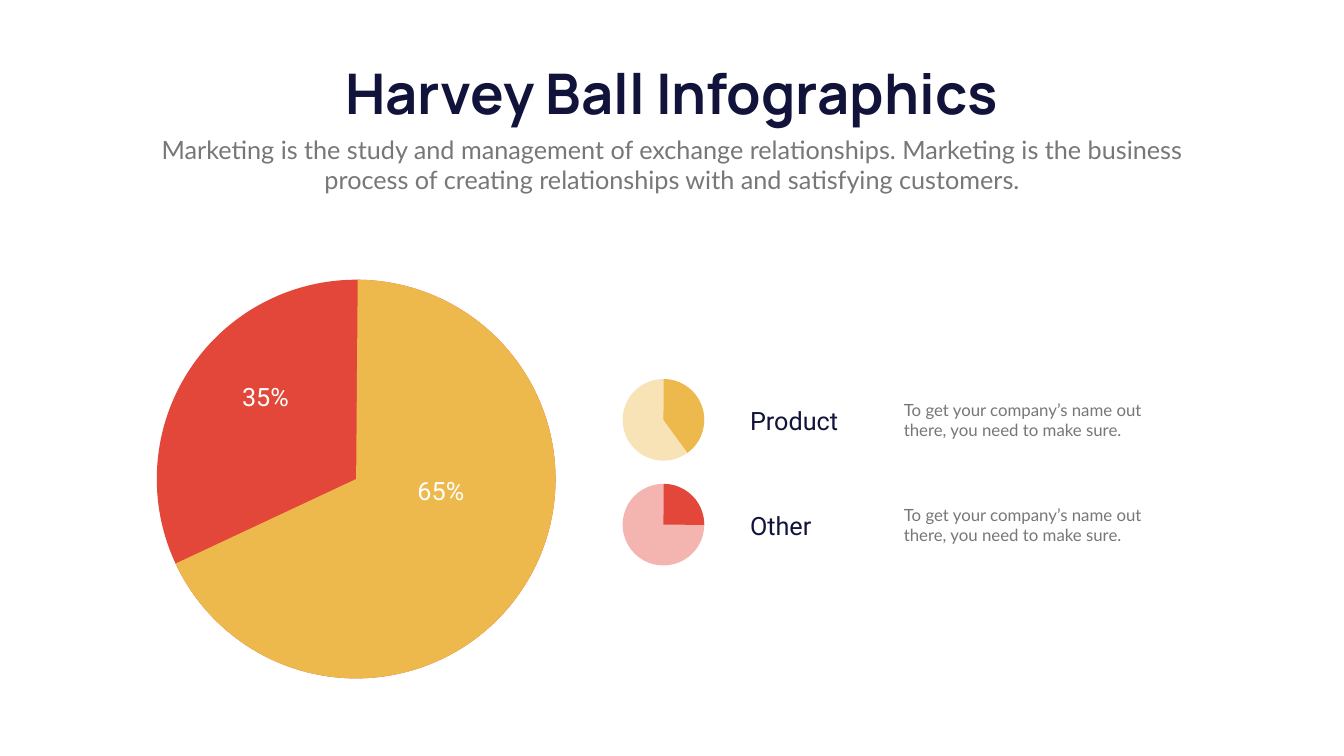
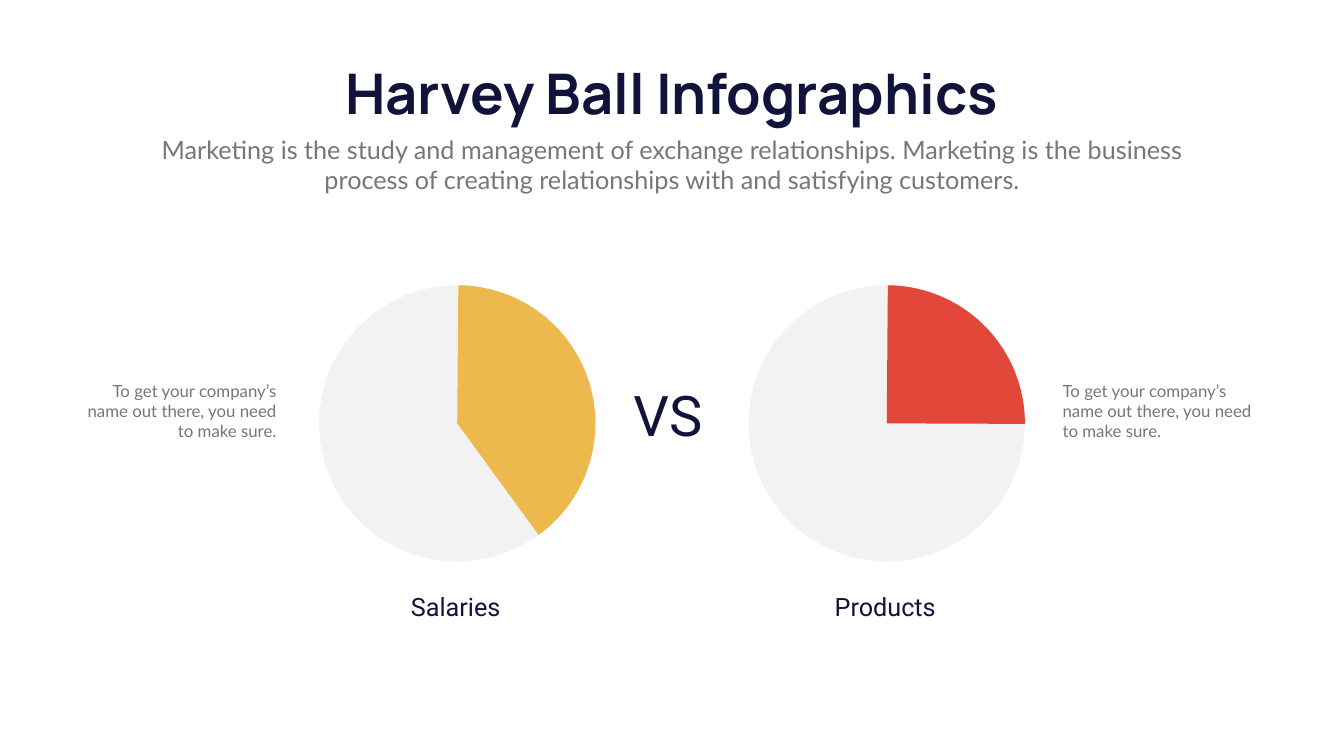
from pptx import Presentation
from pptx.dml.color import RGBColor
from pptx.enum.shapes import MSO_SHAPE
from pptx.enum.text import MSO_ANCHOR, MSO_AUTO_SIZE, PP_ALIGN
from pptx.util import Inches, Pt

# Shared content
TITLE = "Harvey Ball Infographics"
SUBTITLE = ("Marketing is the study and management of exchange relationships. "
            "Marketing is the business process of creating relationships with "
            "and satisfying customers.")
NOTE = "To get your company’s name out there, you need to make sure."

# Shared look
NAVY, GREY, WHITE = "11133A", "777678", "FFFFFF"
YELLOW, RED = "EEB94C", "E34739"
PALE_YELLOW, PALE_RED, PALE_GREY = "F8E3B7", "F4B5B0", "F2F2F2"
STYLES = {
    "title": {"name": "Manrope", "size": Pt(80), "bold": True, "color": NAVY},
    "subtitle": {"name": "Lato", "size": Pt(36), "color": GREY},
    "note": {"name": "Lato", "size": Pt(24), "color": GREY},
    "label": {"name": "Roboto", "size": Pt(36), "color": NAVY},
    "percent": {"name": "Roboto", "size": Pt(36), "color": WHITE},
    "versus": {"name": "Roboto", "size": Pt(80), "color": NAVY},
}
LEFT, CENTER, RIGHT = PP_ALIGN.LEFT, PP_ALIGN.CENTER, PP_ALIGN.RIGHT

# Pie angles in degrees, clockwise from three o'clock
START_ANGLE = 270.45
SHARE_END, PRODUCT_END, OTHER_END = 154.9, 53.89, 0.23

# Share slide: percentages (text, left, top) and legend rows
PERCENTS = [("65%", 8, 9.39), ("35%", 4.52, 7.52)]
LEGEND = [("Product", PALE_YELLOW, YELLOW, PRODUCT_END),
          ("Other", PALE_RED, RED, OTHER_END)]
LEGEND_TOP, LEGEND_STEP = 7.52, 2.08

# Comparison slide: label, ball left, colour, end angle, note left, note alignment
RIVALS = [("Salaries", 6.33, YELLOW, PRODUCT_END, 1.55, RIGHT),
          ("Products", 14.85, RED, OTHER_END, 20.98, LEFT)]
RIVAL_TOP, RIVAL_SIZE, LABEL_WIDTH = 5.66, 5.48, 3.26


def rgb(color):
    return RGBColor.from_string(color)


def write(box, text, style, align=LEFT, wrap=True):
    frame = box.text_frame
    frame.word_wrap = wrap
    frame.auto_size = MSO_AUTO_SIZE.SHAPE_TO_FIT_TEXT
    frame.vertical_anchor = MSO_ANCHOR.TOP
    para = frame.paragraphs[0]
    para.alignment = align
    span = para.add_run()
    span.text = text
    for key, value in STYLES[style].items():
        if key == "color":
            span.font.color.rgb = rgb(value)
        else:
            setattr(span.font, key, value)


def add_text(page, text, style, left, top, width, height, align=LEFT):
    box = page.shapes.add_textbox(*map(Inches, (left, top, width, height)))
    write(box, text, style, align)


def add_ball(page, left, top, size, base, color, end_angle):
    """Draw a full disc with a pie slice on top, as one group."""
    group = page.shapes.add_group_shape()
    for kind, fill in ((MSO_SHAPE.OVAL, base), (MSO_SHAPE.PIE, color)):
        shape = group.shapes.add_shape(kind, *map(Inches, (left, top, size, size)))
        shape.shadow.inherit = False
        shape.fill.solid()
        shape.fill.fore_color.rgb = rgb(fill)
        shape.line.fill.background()
    # One adjustment unit is 100000, and one degree is 60000
    shape.adjustments[0] = START_ANGLE * 0.6
    shape.adjustments[1] = end_angle * 0.6


def add_page(deck):
    """Add a slide with the shared title and subtitle."""
    page = deck.slides.add_slide(deck.slide_layouts[5])
    title = page.shapes.title
    title.left, title.top, title.width, title.height = map(
        Inches, (6.14, 1.12, 14.37, 1.45))
    write(title, TITLE, "title", CENTER, wrap=False)
    add_text(page, SUBTITLE, "subtitle", 2.92, 2.61, 20.82, 1.31, CENTER)
    return page


def build_share(deck):
    page = add_page(deck)
    add_ball(page, 3.11, 5.55, 7.91, RED, YELLOW, SHARE_END)
    for text, left, top in PERCENTS:
        add_text(page, text, "percent", left, top, 1.49, 0.71, CENTER)
    # Legend rows
    for row, (label, base, color, end_angle) in enumerate(LEGEND):
        top = LEGEND_TOP + row * LEGEND_STEP
        add_ball(page, 12.35, top, 1.62, base, color, end_angle)
        add_text(page, label, "label", 14.78, top + 0.47, LABEL_WIDTH, 0.71)
        add_text(page, NOTE, "note", 17.83, top + 0.36, 5.39, 0.91)


def build_comparison(deck):
    page = add_page(deck)
    for label, left, color, end_angle, note_left, align in RIVALS:
        add_ball(page, left, RIVAL_TOP, RIVAL_SIZE, PALE_GREY, color, end_angle)
        label_left = left + (RIVAL_SIZE - LABEL_WIDTH) / 2 - 0.03
        add_text(page, label, "label", label_left, 11.69, LABEL_WIDTH, 0.71, CENTER)
        add_text(page, NOTE, "note", note_left, 7.5, 4.03, 1.31, align)
    add_text(page, "VS", "versus", 11.62, 7.5, LABEL_WIDTH, 1.45, CENTER)


def main():
    deck = Presentation()
    deck.slide_width, deck.slide_height = Inches(26.66), Inches(15)
    build_share(deck)
    build_comparison(deck)
    deck.save("out.pptx")


if __name__ == "__main__":
    main()
